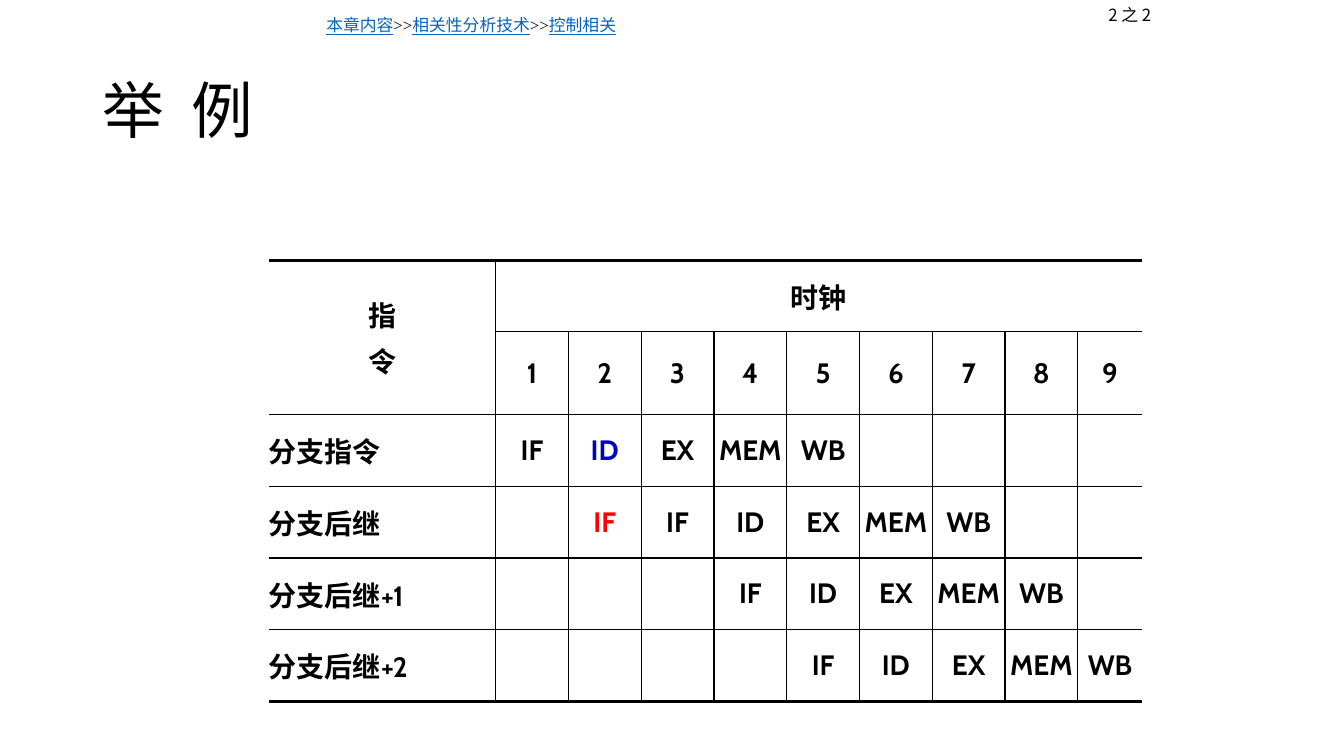
"""Build the pipeline timing slide for a branch instruction."""
from lxml import etree
from pptx import Presentation
from pptx.dml.color import RGBColor
from pptx.enum import lang, text
from pptx.oxml import ns
from pptx.util import Pt

COLORS = {"black": "000000", "link": "0563C1", "decode": "0000CC", "refetch": "FF0000"}
STAGES = ["IF", "ID", "EX", "MEM", "WB"]
SIDES = ["lnL", "lnR", "lnT", "lnB"]


def style(font, name, size, color="black", bold=False):
    font.name, font.size, font.bold = name, Pt(size), bold
    font.color.rgb = RGBColor.from_string(COLORS[color])
    font.language_id = lang.MSO_LANGUAGE_ID.SIMPLIFIED_CHINESE


def set_borders(cell, widths):
    properties = cell._tc.get_or_add_tcPr()
    for index, (side, width) in enumerate(zip(SIDES, widths)):
        line = etree.Element(ns.qn(f"a:{side}"), w=str(Pt(width)))
        if width:
            fill = etree.SubElement(line, ns.qn("a:solidFill"))
            etree.SubElement(fill, ns.qn("a:srgbClr"), val=COLORS["black"])
        else:
            etree.SubElement(line, ns.qn("a:noFill"))
        properties.insert(index, line)


prs = Presentation()
prs.slide_width, prs.slide_height = Pt(960), Pt(540)
slide = prs.slides.add_slide(prs.slide_layouts[5])

title = slide.shapes.title
title.left, title.top, title.width, title.height = Pt(66), Pt(28.75), Pt(828), Pt(104.4)
title.text_frame.text = "举  例"
title.text_frame.auto_size = text.MSO_AUTO_SIZE.NONE
title.text_frame.vertical_anchor = text.MSO_ANCHOR.MIDDLE
heading = title.text_frame.paragraphs[0]
heading.alignment = text.PP_ALIGN.LEFT
heading.line_spacing = 0.9
style(heading.font, "Calibri", 44)

breadcrumb = slide.shapes.add_textbox(Pt(226), Pt(7), Pt(596), Pt(21.6))
breadcrumb.text_frame.word_wrap = True
trail = breadcrumb.text_frame.paragraphs[0]
for part in ["本章内容", ">>", "相关性分析技术", ">>", "控制相关"]:
    run = trail.add_run()
    run.text = part
    is_link = part != ">>"
    style(run.font, "Times New Roman", 12, "link" if is_link else "black")
    run.font.underline = is_link

column_widths = [162] + [52] * 8 + [46]
row_heights = [51, 59] + [51.2] * 4
timing = slide.shapes.add_table(
    6, 10, Pt(192), Pt(186), Pt(sum(column_widths)), Pt(sum(row_heights))
).table
timing.first_row = timing.horz_banding = False
for column, width in zip(timing.columns, column_widths):
    column.width = Pt(width)
for row, height in zip(timing.rows, row_heights):
    row.height = Pt(height)

labels = {(0, 0): "指\n令", (0, 1): "时钟", (3, 2): "IF"}
labels.update({(1, clock): str(clock) for clock in range(1, 10)})
instructions = [("分支指令", 1), ("分支后继", 3), ("分支后继+1", 4), ("分支后继+2", 5)]
for r, (instruction, start) in enumerate(instructions, 2):
    labels[r, 0] = instruction
    labels.update({(r, start + step): stage for step, stage in enumerate(STAGES)})
accents = {(2, 2): "decode", (3, 2): "refetch"}

timing.cell(0, 0).merge(timing.cell(1, 0))
timing.cell(0, 1).merge(timing.cell(0, 9))
for r in range(6):
    for c in range(10):
        cell = timing.cell(r, c)
        cell.fill.background()
        left = 1 if c == 1 or (c > 1 and r > 0) else 0
        right = 1 if c == 0 or (c < 9 and r > 0) else 0
        top = 2.25 if r == 0 else 0 if (r, c) == (1, 0) else 1
        bottom = 2.25 if r == 5 else 1
        set_borders(cell, [left, right, top, bottom])
        cell.vertical_anchor = text.MSO_ANCHOR.MIDDLE
        if r > 1:
            cell.margin_left = cell.margin_right = 0
        if (r, c) not in labels:
            continue
        cell.text_frame.text = labels[r, c]
        for index, paragraph in enumerate(cell.text_frame.paragraphs):
            if c > 0 or r < 2:
                paragraph.alignment = text.PP_ALIGN.CENTER
            if index:
                paragraph.space_before = Pt(4)
            style(paragraph.font, "Cabin", 20, accents.get((r, c), "black"), True)

page = slide.shapes.add_textbox(Pt(774), Pt(0), Pt(66), Pt(21.6))
page.text_frame.word_wrap = True
page.text_frame.text = "2 之 2"
page_count = page.text_frame.paragraphs[0]
page_count.alignment = text.PP_ALIGN.CENTER
style(page_count.font, "Noto Sans CJK SC", 12)

prs.save("out.pptx")
